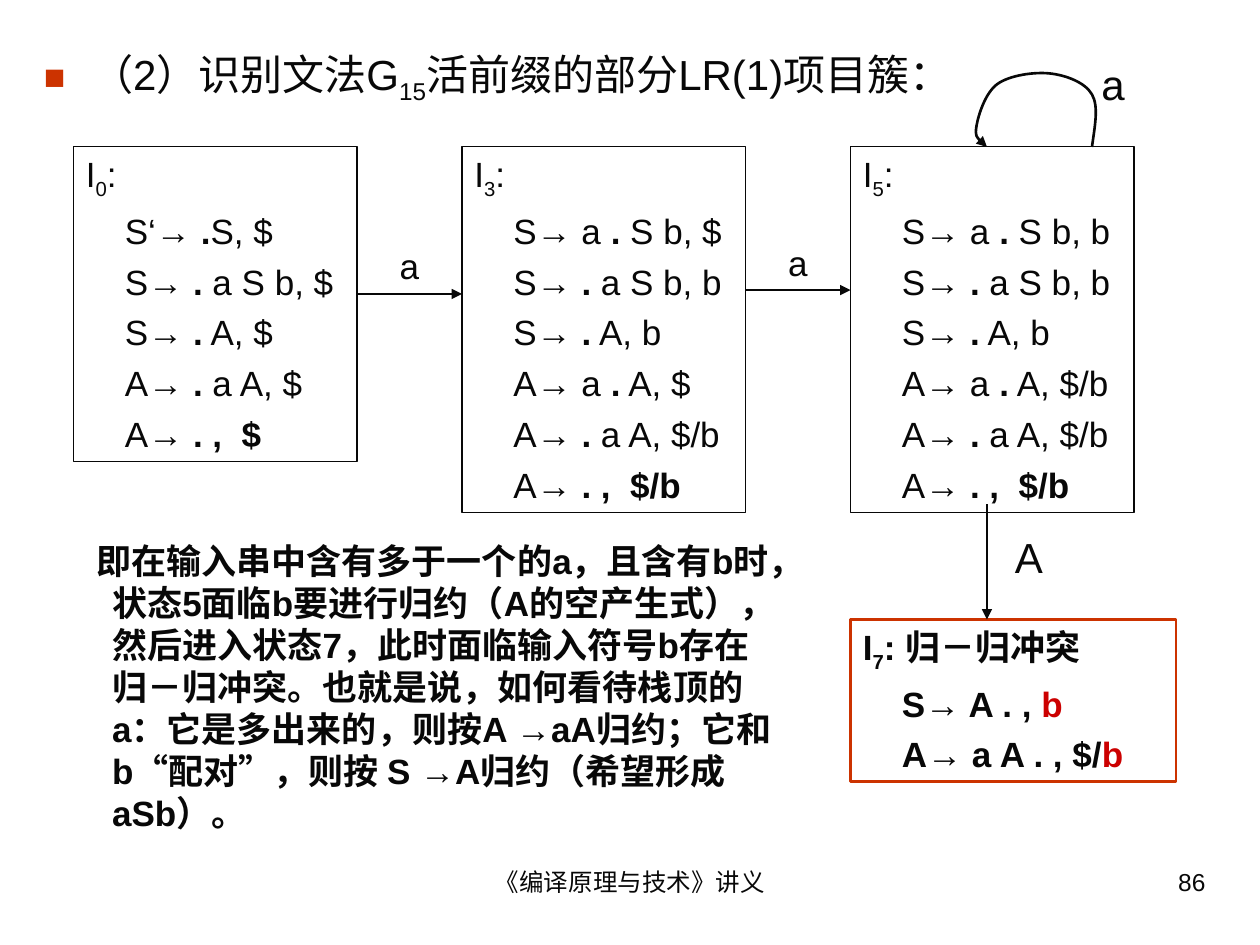
from lxml import etree
from pptx import Presentation, util as u
from pptx.dml.color import RGBColor
from pptx.enum import shapes, text
from pptx.oxml import ns

Pt = u.Pt
THEME = {
    "font": "Arial",
    "ink": RGBColor.from_string("080808"),
    "frame": RGBColor.from_string("CC3300"),
    "conflict": RGBColor.from_string("CC0000"),
    "heading": 24, "body": 20, "footer": 14,
}
SUB = {"baseline": "-25000"}
BOLD = {"bold": True}
RED = {"bold": True, "color": THEME["conflict"]}


def write(paragraph, runs, size):
    """Add (text, style) runs to a paragraph."""
    for words, style in runs:
        run = paragraph.add_run()
        run.text = words
        run.font.color.rgb = style.get("color", THEME["ink"])
        font_format = {"name": THEME["font"], "size": Pt(size), "bold": style.get("bold", False)}
        for key, value in font_format.items():
            setattr(run.font, key, value)
        if "baseline" in style:
            run.font._element.set("baseline", style["baseline"])


def finish_arrow(arrow, width):
    """Give a line its colour, width and arrowhead, without a shadow."""
    arrow.line.color.rgb = THEME["ink"]
    arrow.line.width = Pt(width)
    etree.SubElement(arrow.line._get_or_add_ln(), ns.qn("a:tailEnd"), type="triangle")
    etree.SubElement(arrow._element.spPr, ns.qn("a:effectLst"))


deck = Presentation()
deck.slide_width, deck.slide_height = Pt(720), Pt(540)
slide = deck.slides.add_slide(deck.slide_layouts[6])

# Heading, explanation, arrow labels and footer
LEFT, CENTER, RIGHT = text.PP_ALIGN.LEFT, text.PP_ALIGN.CENTER, text.PP_ALIGN.RIGHT
heading = [("（2）识别文法G", {}), ("15", SUB), ("活前缀的部分LR(1)项目簇：", {})]
explanation = [(
    "即在输入串中含有多于一个的a，且含有b时，状态5面临b要进行归约（A的空产生式），"
    "然后进入状态7，此时面临输入符号b存在归－归冲突。也就是说，如何看待栈顶的a："
    "它是多出来的，则按A →aA归约；它和b“配对”，则按 S →A归约（希望形成aSb）。", BOLD)]
# box, runs, size, alignment, left margin, first-line indent, bullet
passages = [
    ((18, 24, 672.5, 54), heading, "heading", LEFT, 27, -27, "■"),
    ((30, 304.5, 420, 175.7), explanation, "body", LEFT, 27, -9, None),
    ((210, 136, 48, 31.7), [("a", {})], "body", CENTER, 0, 0, None),
    ((432, 134.5, 48, 31.7), [("a", {})], "body", CENTER, 0, 0, None),
    ((600, 30, 72, 36), [("a", {})], "heading", CENTER, 0, 0, None),
    ((552, 300, 72, 36), [("A", {})], "heading", CENTER, 0, 0, None),
    ((246, 492, 228, 37.5), [("《编译原理与技术》讲义", {})], "footer", CENTER, 0, 0, None),
    ((516, 492, 180, 37.5), [("86", {})], "footer", RIGHT, 0, 0, None),
]
for box, runs, size, alignment, margin, indent, bullet in passages:
    passage = slide.shapes.add_textbox(*map(Pt, box))
    passage.text_frame.word_wrap = True
    paragraph = passage.text_frame.paragraphs[0]
    paragraph.alignment = alignment
    properties = paragraph._p.get_or_add_pPr()
    properties.set("marL", str(Pt(margin)))
    properties.set("indent", str(Pt(indent)))
    if bullet:
        bullet_color = etree.SubElement(properties, ns.qn("a:buClr"))
        etree.SubElement(bullet_color, ns.qn("a:srgbClr"), val=str(THEME["frame"]))
        etree.SubElement(properties, ns.qn("a:buSzPct"), val="85000")
        etree.SubElement(properties, ns.qn("a:buFont"), typeface=THEME["font"])
        etree.SubElement(properties, ns.qn("a:buChar"), char=bullet)
    write(paragraph, runs, THEME[size])

# Item sets: bars enclose the bold part of each item
item_sets = [
    ("0", 42, 180, ["S‘→ |.|S, $", "S→ |.| a S b, $", "S→ |.| A, $",
                    "A→ |.| a A, $", "A→ |. ,  $"]),
    ("3", 264, 209, ["S→ a |.| S b, $", "S→ |.| a S b, b", "S→ |.| A, b",
                     "A→ a |.| A, $", "A→ |.| a A, $/b", "A→ |. ,  $/b"]),
    ("5", 486, 209, ["S→ a |.| S b, b", "S→ |.| a S b, b", "S→ |.| A, b",
                     "A→ a |.| A, $/b", "A→ |.| a A, $/b", "A→ |. ,  $/b"]),
]
states = []
for number, left, height, items in item_sets:
    lines = [[("I", {}), (number, SUB), (":", {})]]
    for item in items:
        lines.append([(part, BOLD if i % 2 else {}) for i, part in enumerate(item.split("|"))])
    states.append(((left, 83.75, 162, height), lines, THEME["ink"], 0.75))
conflict_lines = [
    [("I", BOLD), ("7", {**SUB, **BOLD}), (": 归－归冲突", BOLD)],
    [("S→ A . , ", BOLD), ("b", RED)],
    [("A→ a A . , $/", BOLD), ("b", RED)],
]
states.append(((486, 354, 186, 92.75), conflict_lines, THEME["frame"], 1.5))

for box, lines, outline, width in states:
    state = slide.shapes.add_shape(shapes.MSO_SHAPE.RECTANGLE, *map(Pt, box))
    state.shadow.inherit = False
    state.fill.background()
    state.line.color.rgb = outline
    state.line.width = Pt(width)
    frame = state.text_frame
    frame.word_wrap = True
    frame.vertical_anchor = text.MSO_ANCHOR.TOP
    for row, runs in enumerate(lines):
        paragraph = frame.add_paragraph() if row else frame.paragraphs[0]
        paragraph.alignment = LEFT
        if row:
            paragraph.space_before = Pt(5)
            paragraph._p.get_or_add_pPr().set("marL", str(Pt(22.25)))
        write(paragraph, runs, THEME["body"])

# Transitions between states
transitions = [((204, 168), (264, 168), 1), ((426, 165.75), (486, 165.75), 1),
               ((564, 288), (564, 354), 1.5)]
for start, end, width in transitions:
    transition = slide.shapes.add_connector(shapes.MSO_CONNECTOR.STRAIGHT, *map(Pt, start + end))
    finish_arrow(transition, width)

# Loop on I5: every three points after the start make one cubic curve
loop_points = [
    (624, 84), (625.5, 72.5), (628, 61), (624, 54), (620, 47), (609, 43), (600, 42),
    (591, 41), (577, 43), (570, 48), (563, 53), (559, 66), (558, 72), (557, 78), (560, 81), (564, 84),
]
builder = slide.shapes.build_freeform(*map(Pt, loop_points[0]))
builder.add_line_segments([(Pt(x), Pt(y)) for x, y in loop_points[1:]], close=False)
loop = builder.convert_to_shape()
segments = list(loop._element.iter(ns.qn("a:lnTo")))
for first in range(0, len(segments), 3):
    curve = etree.SubElement(segments[first].getparent(), ns.qn("a:cubicBezTo"))
    for segment in segments[first:first + 3]:
        curve.append(segment[0])
        segment.getparent().remove(segment)
loop.fill.background()
finish_arrow(loop, 1.5)

deck.save("out.pptx")
